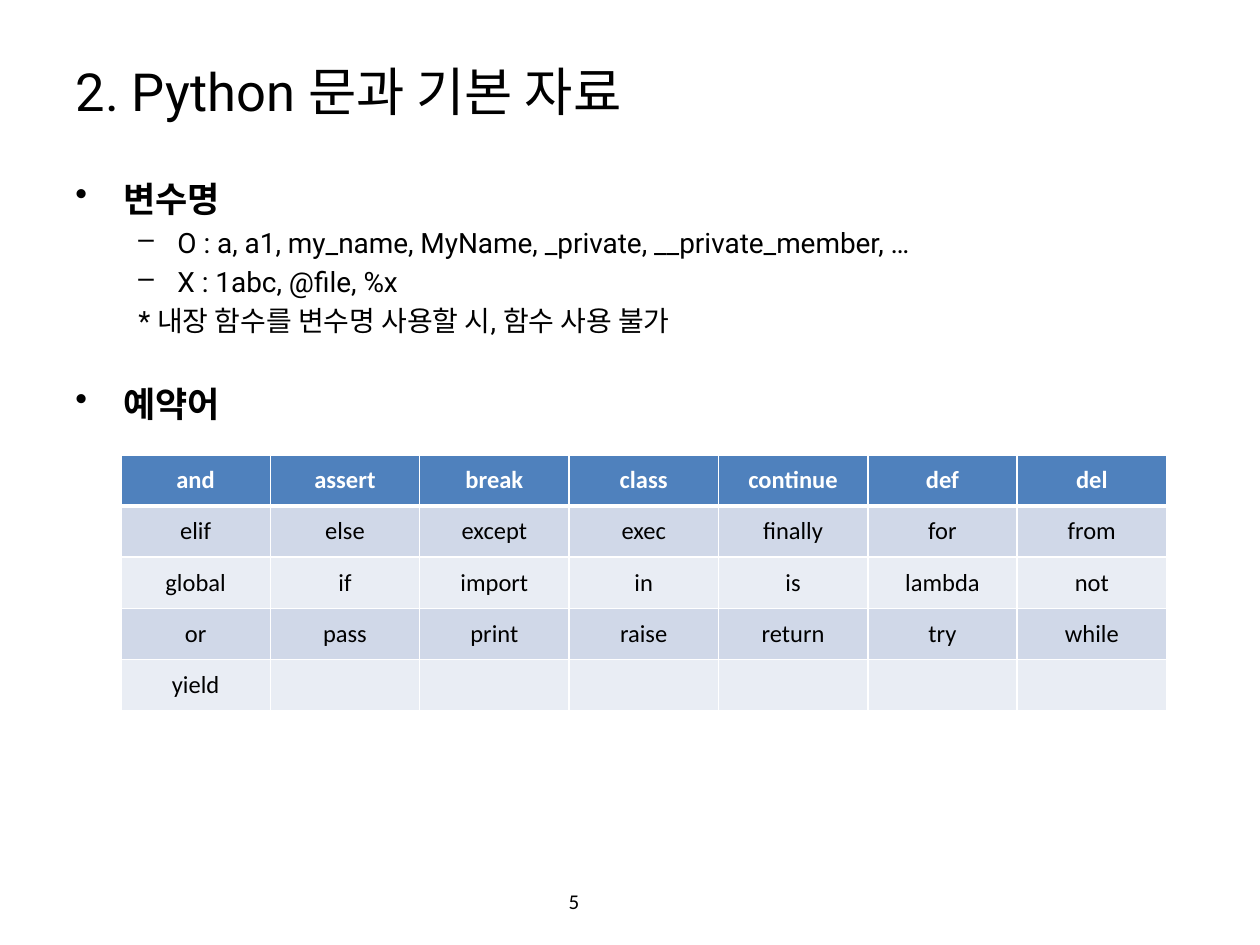
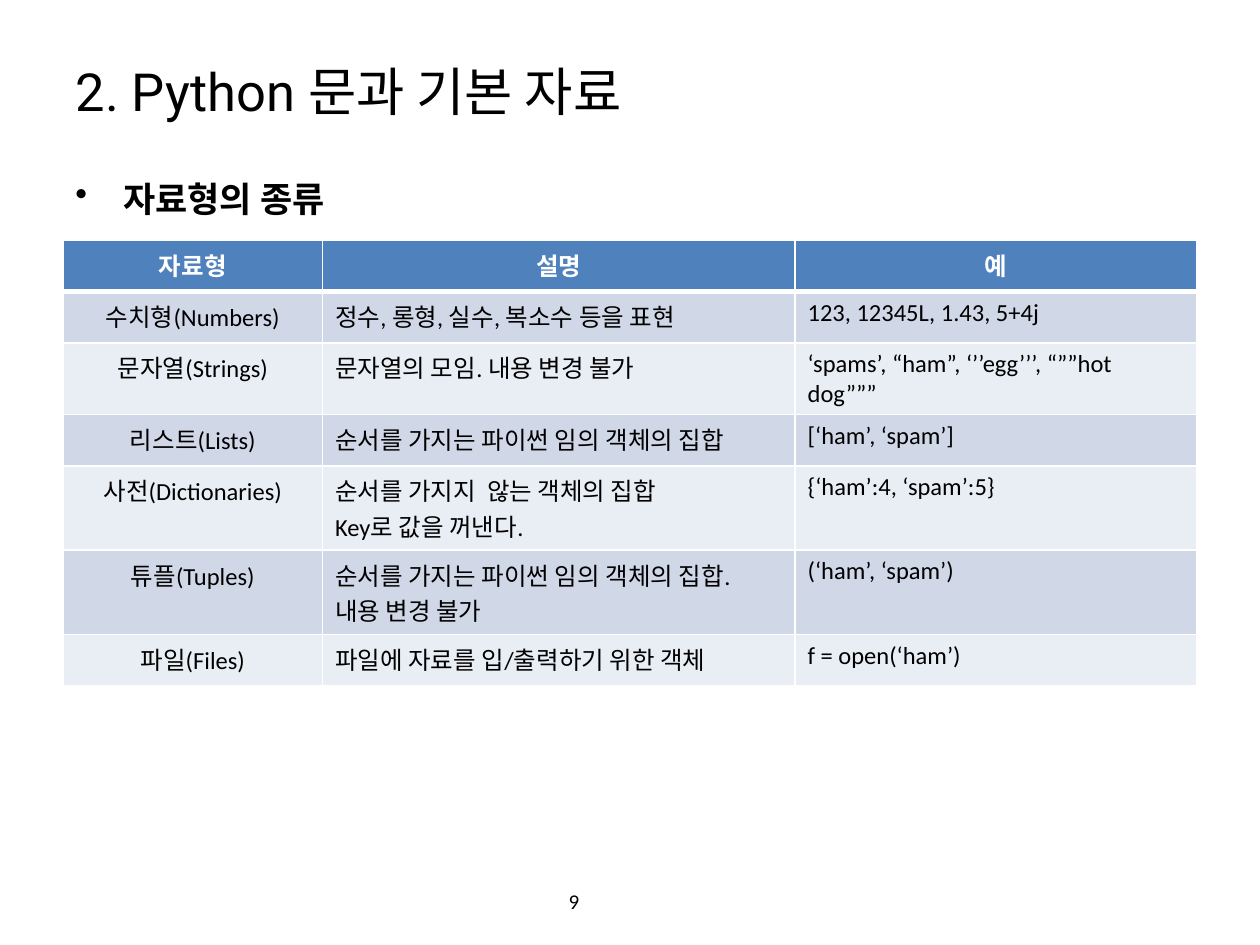
from dataclasses import dataclass
from typing import NamedTuple, Optional

import pptx
import pptx.dml.color
import pptx.enum.text
import pptx.oxml
import pptx.oxml.ns
import pptx.presentation
import pptx.slide
import pptx.table
import pptx.text.text
import pptx.util

RGBColor = pptx.dml.color.RGBColor
Align = pptx.enum.text.PP_ALIGN
Anchor = pptx.enum.text.MSO_ANCHOR

BLACK = RGBColor(0x00, 0x00, 0x00)
WHITE = RGBColor(0xFF, 0xFF, 0xFF)
HEADER_BLUE = RGBColor(0x4F, 0x81, 0xBD)
BANDS = (RGBColor(0xD0, 0xD8, 0xE8), RGBColor(0xE9, 0xED, 0xF4))

SLIDE_WIDTH = pptx.util.Inches(10)
SLIDE_HEIGHT = pptx.util.Inches(7.5)
ROW = 0.406 / 7.5
WRAPPED_ROW = 0.57 / 7.5
TWO_LINE_ROW = 0.67 / 7.5
TITLE = "2. Python 문과 기본 자료"


class Box(NamedTuple):
    left: float
    top: float
    width: float
    height: float

    def lengths(self) -> tuple[int, int, int, int]:
        return (
            int(self.left * SLIDE_WIDTH),
            int(self.top * SLIDE_HEIGHT),
            int(self.width * SLIDE_WIDTH),
            int(self.height * SLIDE_HEIGHT),
        )


class TextStyle(NamedTuple):
    font: str
    size: int
    color: RGBColor = BLACK
    bold: bool = False


class Level(NamedTuple):
    style: TextStyle
    margin: float
    indent: float
    depth: int


class Line(NamedTuple):
    text: str
    level: Level
    bullet: Optional[str] = None
    extra_space: float = 0


@dataclass(frozen=True)
class TableSpec:
    left: float
    top: float
    width: float
    column_weights: tuple[float, ...]
    row_heights: tuple[float, ...]
    rows: tuple[tuple[str, ...], ...]
    body_alignments: tuple[Align, ...]
    anchor: Anchor

    def box(self) -> Box:
        return Box(self.left, self.top, self.width, sum(self.row_heights))


@dataclass(frozen=True)
class Page:
    number: int
    lines: tuple[Line, ...]
    table: TableSpec


TITLE_BOX = Box(0.05, 0.04, 0.9, 0.112)
BODY_BOX = Box(0.05, 1.36 / 7.5, 0.9, 0.712)
NUMBER_BOX = Box(0.339, 6.95 / 7.5, 0.233, 0.4 / 7.5)

TITLE_STYLE = TextStyle("Roboto", 30)
NUMBER_STYLE = TextStyle("Calibri", 12)
HEADER_STYLE = TextStyle("Calibri", 14, WHITE, True)
CELL_STYLE = TextStyle("Calibri", 14)
HEADING = Level(TextStyle("Roboto", 20, bold=True), 0.38, -0.38, 0)
DETAIL = Level(TextStyle("Roboto", 16), 0.81, -0.31, 1)

PAGES = (
    Page(
        5,
        (
            Line("변수명", HEADING, "•"),
            Line("O : a, a1, my_name, MyName, _private, __private_member, …", DETAIL, "–"),
            Line("X : 1abc, @file, %x", DETAIL, "–"),
            Line("* 내장 함수를 변수명 사용할 시, 함수 사용 불가", DETAIL),
            Line("예약어", HEADING, "•", 22),
        ),
        TableSpec(
            0.096, 3.61 / 7.5, 0.83,
            (1,) * 7,
            (ROW,) * 5,
            (
                ("and", "assert", "break", "class", "continue", "def", "del"),
                ("elif", "else", "except", "exec", "finally", "for", "from"),
                ("global", "if", "import", "in", "is", "lambda", "not"),
                ("or", "pass", "print", "raise", "return", "try", "while"),
                ("yield",) + ("",) * 6,
            ),
            (Align.CENTER,) * 7,
            Anchor.MIDDLE,
        ),
    ),
    Page(
        9,
        (Line("자료형의 종류", HEADING, "•"),),
        TableSpec(
            0.05, 1.91 / 7.5, 0.9,
            (2.06, 3.75, 3.19),
            (ROW, ROW, WRAPPED_ROW, ROW, TWO_LINE_ROW, TWO_LINE_ROW, ROW),
            (
                ("자료형", "설명", "예"),
                ("수치형(Numbers)", "정수, 롱형, 실수, 복소수 등을 표현", "123, 12345L, 1.43, 5+4j"),
                ("문자열(Strings)", "문자열의 모임. 내용 변경 불가", "‘spams’, “ham”, ‘’’egg’’’, “””hot dog”””"),
                ("리스트(Lists)", "순서를 가지는 파이썬 임의 객체의 집합", "[‘ham’, ‘spam’]"),
                ("사전(Dictionaries)", "순서를 가지지  않는 객체의 집합\nKey로 값을 꺼낸다.", "{‘ham’:4, ‘spam’:5}"),
                ("튜플(Tuples)", "순서를 가지는 파이썬 임의 객체의 집합.\n내용 변경 불가", "(‘ham’, ‘spam’)"),
                ("파일(Files)", "파일에 자료를 입/출력하기 위한 객체", "f = open(‘ham’)"),
            ),
            (Align.CENTER, Align.LEFT, Align.LEFT),
            Anchor.TOP,
        ),
    ),
)


def add_run(paragraph: pptx.text.text._Paragraph, text: str, style: TextStyle) -> None:
    run = paragraph.add_run()
    run.text = text
    run.font.name = style.font
    run.font.size = pptx.util.Pt(style.size)
    run.font.bold = style.bold
    run.font.color.rgb = style.color


def next_paragraph(frame: pptx.text.text.TextFrame, index: int) -> pptx.text.text._Paragraph:
    return frame.paragraphs[0] if index == 0 else frame.add_paragraph()


def add_title(slide: pptx.slide.Slide) -> None:
    title = slide.shapes.title
    title.left, title.top, title.width, title.height = TITLE_BOX.lengths()
    title.text_frame.vertical_anchor = Anchor.MIDDLE
    paragraph = title.text_frame.paragraphs[0]
    paragraph.alignment = Align.LEFT
    add_run(paragraph, TITLE, TITLE_STYLE)


def add_text_box(slide: pptx.slide.Slide, box: Box) -> pptx.text.text.TextFrame:
    frame = slide.shapes.add_textbox(*box.lengths()).text_frame
    frame.word_wrap = True
    return frame


def set_bullet(paragraph: pptx.text.text._Paragraph, line: Line) -> None:
    properties = paragraph._p.get_or_add_pPr()
    properties.set("marL", str(pptx.util.Inches(line.level.margin)))
    properties.set("indent", str(pptx.util.Inches(line.level.indent)))
    if line.bullet:
        bullet = pptx.oxml.parse_xml(f'<a:buChar {pptx.oxml.ns.nsdecls("a")} char="{line.bullet}"/>')
        properties.append(bullet)


def add_lines(slide: pptx.slide.Slide, lines: tuple[Line, ...]) -> None:
    frame = add_text_box(slide, BODY_BOX)
    for index, line in enumerate(lines):
        paragraph = next_paragraph(frame, index)
        paragraph.level = line.level.depth
        paragraph.space_before = pptx.util.Pt(0.2 * line.level.style.size + line.extra_space)
        set_bullet(paragraph, line)
        add_run(paragraph, line.text, line.level.style)


def set_borders(cell: pptx.table._Cell, bottom_width: float, top_width: float) -> None:
    properties = cell._tc.get_or_add_tcPr()
    widths = {"lnL": 1, "lnR": 1, "lnT": top_width, "lnB": bottom_width}
    for tag, width in widths.items():
        properties.append(pptx.oxml.parse_xml(
            f'<a:{tag} {pptx.oxml.ns.nsdecls("a")} w="{pptx.util.Pt(width)}">'
            f'<a:solidFill><a:srgbClr val="{WHITE}"/></a:solidFill></a:{tag}>'
        ))


def fill_cell(cell: pptx.table._Cell, text: str, row: int, alignment: Align, anchor: Anchor) -> None:
    is_header = row == 0
    set_borders(cell, 3 if is_header else 1, 3 if row == 1 else 1)
    cell.fill.solid()
    cell.fill.fore_color.rgb = HEADER_BLUE if is_header else BANDS[(row - 1) % 2]
    cell.vertical_anchor = anchor
    if not text:
        return
    for index, part in enumerate(text.split("\n")):
        paragraph = next_paragraph(cell.text_frame, index)
        paragraph.alignment = Align.CENTER if is_header else alignment
        add_run(paragraph, part, HEADER_STYLE if is_header else CELL_STYLE)


def add_table(slide: pptx.slide.Slide, spec: TableSpec) -> None:
    lengths = spec.box().lengths()
    table = slide.shapes.add_table(len(spec.rows), len(spec.column_weights), *lengths).table
    for column, weight in zip(table.columns, spec.column_weights):
        column.width = int(lengths[2] * weight / sum(spec.column_weights))
    for row, height in zip(table.rows, spec.row_heights):
        row.height = int(height * SLIDE_HEIGHT)
    for row_index, texts in enumerate(spec.rows):
        for column_index, text in enumerate(texts):
            cell = table.cell(row_index, column_index)
            fill_cell(cell, text, row_index, spec.body_alignments[column_index], spec.anchor)


def add_page_number(slide: pptx.slide.Slide, number: int) -> None:
    frame = add_text_box(slide, NUMBER_BOX)
    frame.vertical_anchor = Anchor.MIDDLE
    frame.paragraphs[0].alignment = Align.CENTER
    add_run(frame.paragraphs[0], str(number), NUMBER_STYLE)


def add_page(presentation: pptx.presentation.Presentation, page: Page) -> None:
    slide = presentation.slides.add_slide(presentation.slide_layouts.get_by_name("Title Only"))
    add_title(slide)
    add_lines(slide, page.lines)
    add_table(slide, page.table)
    add_page_number(slide, page.number)


def main() -> None:
    presentation = pptx.Presentation()
    presentation.slide_width = SLIDE_WIDTH
    presentation.slide_height = SLIDE_HEIGHT
    for page in PAGES:
        add_page(presentation, page)
    presentation.save("out.pptx")


if __name__ == "__main__":
    main()
